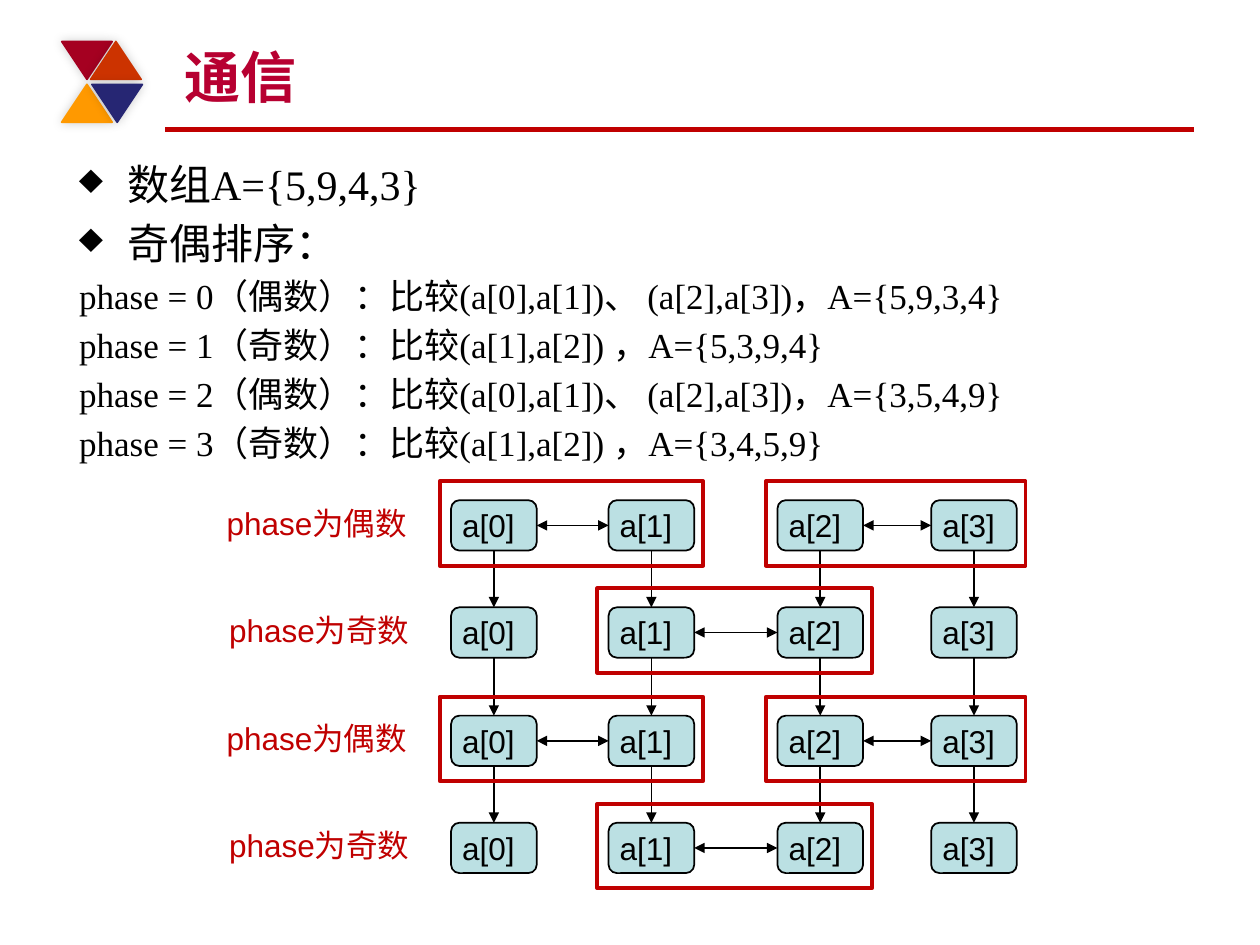
from lxml import etree
from pptx import Presentation
from pptx.dml.color import RGBColor
from pptx.enum.shapes import MSO_CONNECTOR, MSO_SHAPE
from pptx.enum.text import MSO_ANCHOR, MSO_AUTO_SIZE, PP_ALIGN
from pptx.oxml.ns import qn
from pptx.util import Inches, Pt

STRAIGHT = MSO_CONNECTOR.STRAIGHT
TRIANGLE, RECT, ROUNDED = MSO_SHAPE.ISOSCELES_TRIANGLE, MSO_SHAPE.RECTANGLE, MSO_SHAPE.ROUNDED_RECTANGLE
TOP, BOTTOM = MSO_ANCHOR.TOP, MSO_ANCHOR.BOTTOM
LEFT = PP_ALIGN.LEFT
GROW = MSO_AUTO_SIZE.SHAPE_TO_FIT_TEXT
SIDE_TOP, SIDE_LEFT, SIDE_BOTTOM, SIDE_RIGHT = range(4)

COLORS = {
    "black": "000000", "title": "B70031", "accent": "C00000", "cell": "BBE0E3",
    "crimson": "A50021", "rust": "CC3300", "amber": "FF9900", "navy": "262673",
}

# Cell grid
COLUMNS = [3.58, 4.83, 6.17, 7.39]
ROWS = [3.97, 4.82, 5.68, 6.53]
CELL_WIDTH, CELL_HEIGHT = 0.68, 0.4
EVEN_PAIRS, ODD_PAIRS = [(0, 1), (2, 3)], [(1, 2)]

ARRAY_LINES = ["数组A={5,9,4,3}", "奇偶排序："]
PHASE_LINES = [
    "phase = 0（偶数）：比较(a[0],a[1])、 (a[2],a[3])，A={5,9,3,4}",
    "phase = 1（奇数）：比较(a[1],a[2]) ，A={5,3,9,4}",
    "phase = 2（偶数）：比较(a[0],a[1])、 (a[2],a[3])，A={3,5,4,9}",
    "phase = 3（奇数）：比较(a[1],a[2]) ，A={3,4,5,9}",
]


def rgb(name):
    return RGBColor.from_string(COLORS[name])


def write(para, text, size=18, font="Arial", color="black", bold=False, before=0, bullet=None):
    """Fill one paragraph with formatted text."""
    para.alignment = LEFT
    para.space_before = Pt(before)
    span = para.add_run()
    span.text = text
    span.font.size = Pt(size)
    span.font.name = font
    span.font.bold = bold
    span.font.color.rgb = rgb(color)
    if bullet:
        properties = para._p.get_or_add_pPr()
        properties.set("marL", str(Inches(0.38)))
        properties.set("indent", str(-Inches(0.38)))
        etree.SubElement(properties, qn("a:buChar"), char=bullet)


class Page:
    """The current slide and the style of its elements."""

    def __init__(self, deck):
        self.slide = deck.slides.add_slide(deck.slide_layouts[6])
        self.shapes = self.slide.shapes

    def text_box(self, left, top, width, height, anchor=TOP, wrap=True, grow=False):
        box = self.shapes.add_textbox(Inches(left), Inches(top), Inches(width), Inches(height))
        frame = box.text_frame
        frame.word_wrap = wrap
        frame.vertical_anchor = anchor
        if grow:
            frame.auto_size = GROW
        return frame

    def shape(self, kind, left, top, width, height, fill=None, line="black", weight=1):
        shape = self.shapes.add_shape(kind, Inches(left), Inches(top), Inches(width), Inches(height))
        shape.shadow.inherit = False
        if fill:
            shape.fill.solid()
            shape.fill.fore_color.rgb = rgb(fill)
        else:
            shape.fill.background()
        shape.line.color.rgb = rgb(line)
        shape.line.width = Pt(weight)
        return shape

    def triangle(self, left, top, color, rotation):
        shape = self.shape(TRIANGLE, left, top, 0.4, 0.3, color, color)
        shape.rotation = rotation
        effects = shape._element.spPr.find(qn("a:effectLst"))
        shadow = etree.SubElement(effects, qn("a:outerShdw"), blurRad=str(Pt(6)), dist="0", dir="18900000")
        shade = etree.SubElement(shadow, qn("a:srgbClr"), val=COLORS["black"])
        etree.SubElement(shade, qn("a:alpha"), val="20000")

    def cell(self, left, top, text):
        box = self.shape(ROUNDED, left, top, CELL_WIDTH, CELL_HEIGHT, "cell")
        frame = self.text_box(left - 0.01, top, 0.62, CELL_HEIGHT, wrap=False, grow=True)
        write(frame.paragraphs[0], text)
        return box

    def line(self, start=(0, 0), end=(0, 0), color="black", weight=1, arrows=()):
        line = self.shapes.add_connector(STRAIGHT, *(Inches(value) for value in (*start, *end)))
        line.line.color.rgb = rgb(color)
        line.line.width = Pt(weight)
        properties = line._element.spPr
        for arrow in arrows:
            etree.SubElement(properties.find(qn("a:ln")), qn(f"a:{arrow}"), type="triangle")
        etree.SubElement(properties, qn("a:effectLst"))
        return line

    def join(self, first, first_side, second, second_side, arrows):
        line = self.line(arrows=arrows)
        line.begin_connect(first, first_side)
        line.end_connect(second, second_side)


def main():
    deck = Presentation()
    deck.slide_width, deck.slide_height = Inches(10), Inches(7.5)
    page = Page(deck)

    # Header: rule, triangle ornament and title
    page.line((1.31, 1.03), (9.48, 1.03), "accent", 3)
    page.triangle(0.49, 0.33, "crimson", 180)
    page.triangle(0.72, 0.33, "rust", 0)
    page.triangle(0.49, 0.67, "amber", 0)
    page.triangle(0.73, 0.67, "navy", 180)
    title = page.text_box(1.37, 0.25, 8, 0.67, anchor=BOTTOM)
    write(title.paragraphs[0], "通信", size=32, color="title", bold=True)

    # Body text
    body = page.text_box(0.53, 1.21, 8.95, 2.71)
    for index, text in enumerate(ARRAY_LINES + PHASE_LINES):
        para = body.add_paragraph() if index else body.paragraphs[0]
        is_array = index < len(ARRAY_LINES)
        size = 24 if is_array else 20
        write(para, text, size=size, font="Times New Roman", before=size * 0.2,
              bullet="♦" if is_array else None)

    # Array cells, one row per phase
    cells = [[page.cell(left, top, f"a[{column}]") for column, left in enumerate(COLUMNS)]
             for top in ROWS]

    # Arrows down to the next phase
    for upper_row, lower_row in zip(cells, cells[1:]):
        for upper, lower in zip(upper_row, lower_row):
            page.join(lower, SIDE_TOP, upper, SIDE_BOTTOM, ["headEnd"])

    # Compared pairs with their frames, and the phase labels
    for index, top in enumerate(ROWS):
        is_odd = index % 2
        for first, second in ODD_PAIRS if is_odd else EVEN_PAIRS:
            page.join(cells[index][first], SIDE_RIGHT, cells[index][second], SIDE_LEFT,
                      ["headEnd", "tailEnd"])
            width = COLUMNS[second] - COLUMNS[first] + CELL_WIDTH + 0.16
            page.shape(RECT, COLUMNS[first] - 0.09, top - 0.15, width, 0.67,
                       line="accent", weight=2.25)
        label = page.text_box(1.72 if is_odd else 1.7, top - 0.02, 1.71 if is_odd else 1.65, 0.4, grow=True)
        write(label.paragraphs[0], "phase为奇数" if is_odd else "phase为偶数", color="accent")

    deck.save("out.pptx")


if __name__ == "__main__":
    main()
